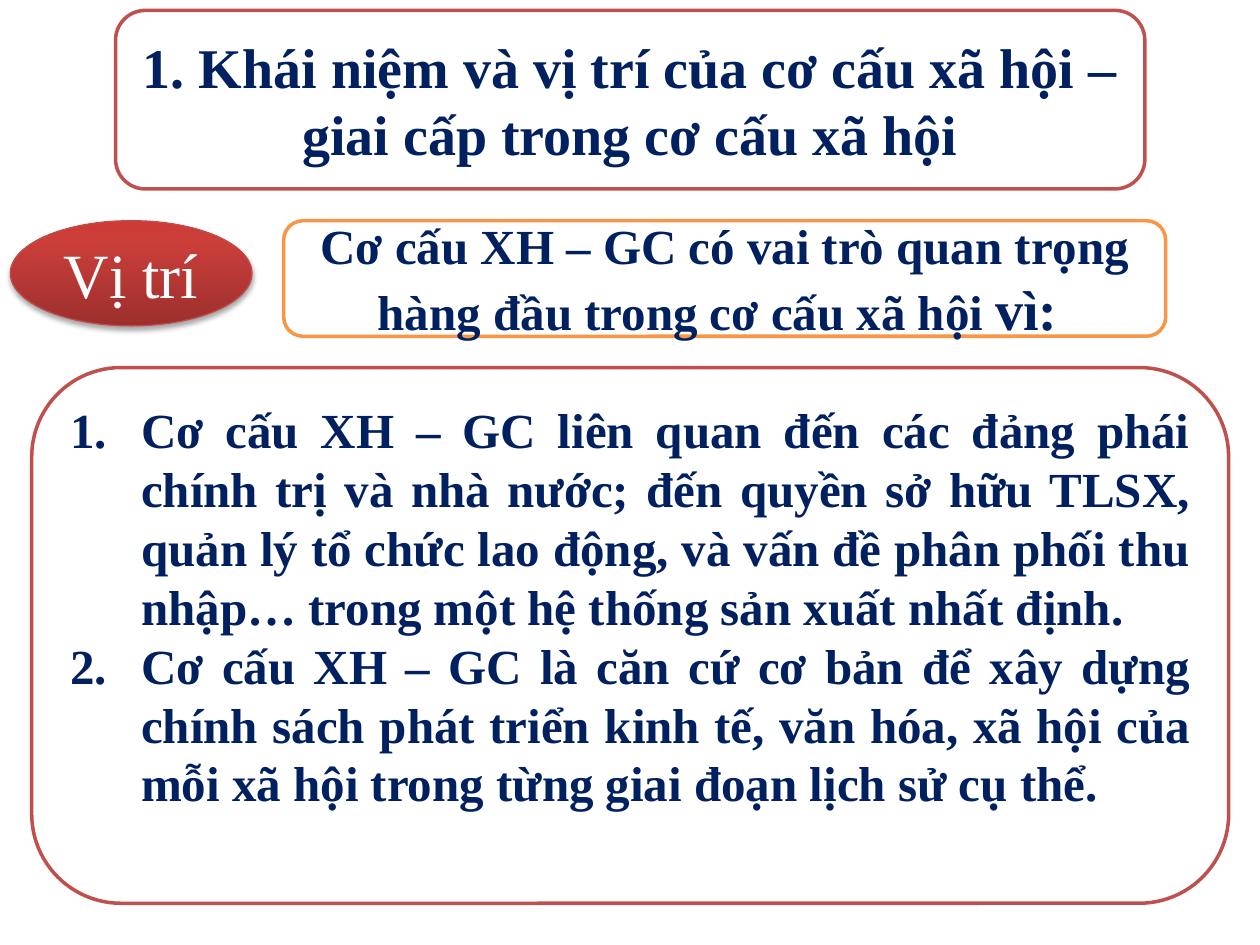
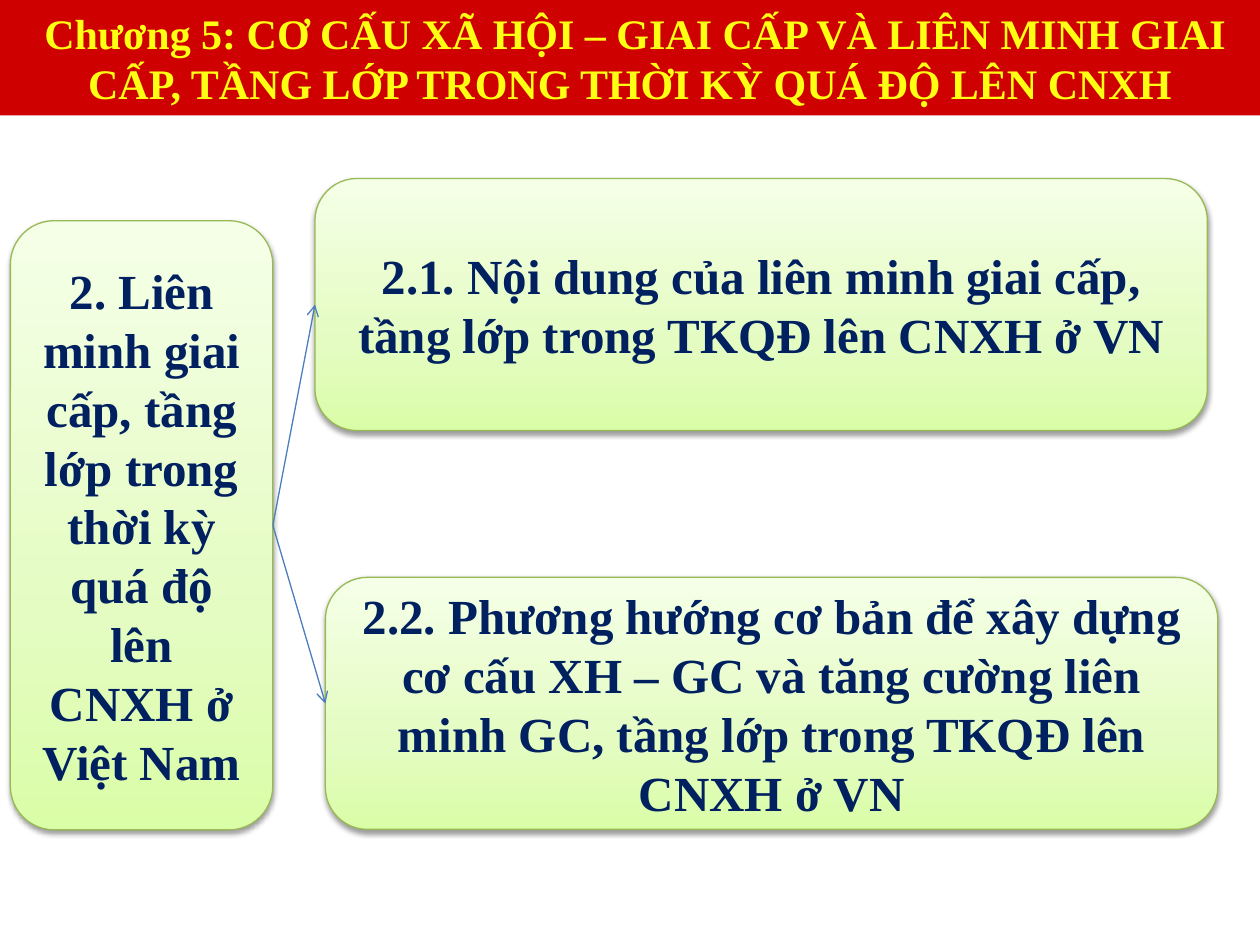
from lxml import etree
from copy import deepcopy
from pptx import Presentation
from pptx.dml.color import RGBColor
from pptx.enum.shapes import MSO_CONNECTOR, MSO_SHAPE
from pptx.enum.text import MSO_ANCHOR, PP_ALIGN
from pptx.oxml.ns import qn
from pptx.util import Cm, Pt

ROUND, OVAL, RECT = MSO_SHAPE.ROUNDED_RECTANGLE, MSO_SHAPE.OVAL, MSO_SHAPE.RECTANGLE
CENTER, JUSTIFY = PP_ALIGN.CENTER, PP_ALIGN.JUSTIFY
TOP, MIDDLE = MSO_ANCHOR.TOP, MSO_ANCHOR.MIDDLE

FONT = "Times New Roman"
NAVY = RGBColor(0x00, 0x20, 0x60)
WHITE = RGBColor(0xFF, 0xFF, 0xFF)
YELLOW = RGBColor(0xFF, 0xFF, 0x13)
BAND_RED = RGBColor(0xCE, 0x00, 0x00)
RED = RGBColor(0xC0, 0x50, 0x4D)
OVAL_RED = RGBColor(0xBF, 0x4C, 0x48)
ORANGE = RGBColor(0xF7, 0x96, 0x46)
GREEN = RGBColor(0x98, 0xB9, 0x55)
BLUE = RGBColor(0x4B, 0x7E, 0xBC)
RED_STOPS = [(0, RGBColor(0x9C, 0x2F, 0x2D)), (0.8, RGBColor(0xCB, 0x3E, 0x3A)),
             (1, RGBColor(0xCE, 0x3B, 0x37))]
GREEN_STOPS = [(0, RGBColor(0xDA, 0xFD, 0xA7)), (0.35, RGBColor(0xE4, 0xFC, 0xC2)),
               (1, RGBColor(0xF5, 0xFF, 0xE7))]


def add_box(s, kind, pos, paragraphs, size=28, color=NAVY, bold=True, align=CENTER,
            anchor=MIDDLE, fill=WHITE, line=None, width=2, numbered=False):
    """Each paragraph is a list of (text, size) runs or a plain string."""
    sp = s.shapes.add_shape(kind, *[Cm(v) for v in pos])
    sp.shadow.inherit = False
    sp.fill.solid()
    sp.fill.fore_color.rgb = fill
    if line is None:
        sp.line.fill.background()
    else:
        sp.line.color.rgb = line
        sp.line.width = Pt(width)
    tf = sp.text_frame
    tf.word_wrap = True
    tf.vertical_anchor = anchor
    for i, runs in enumerate(paragraphs):
        p = tf.paragraphs[0] if i == 0 else tf.add_paragraph()
        p.alignment = align
        if numbered:
            pPr = p._p.get_or_add_pPr()
            pPr.set("marL", str(Cm(1.43)))
            pPr.set("indent", str(-Cm(1.43)))
            etree.SubElement(pPr, qn("a:buFont"), typeface="+mj-lt")
            etree.SubElement(pPr, qn("a:buAutoNum"), type="arabicPeriod")
        for text, run_size in [(runs, size)] if isinstance(runs, str) else runs:
            r = p.add_run()
            r.text = text
            r.font.name, r.font.size, r.font.bold = FONT, Pt(run_size), bold
            r.font.color.rgb = color
    return sp


def add_depth(sp, stops, distance, alpha):
    """Give a shape a bottom-to-top gradient and a soft shadow below it."""
    sp.fill.gradient()
    sp.fill.gradient_angle = 90
    gs_list = sp._element.spPr.find(qn("a:gradFill")).find(qn("a:gsLst"))
    gs_list.append(deepcopy(gs_list[0]))
    for stop, (position, color) in zip(sp.fill.gradient_stops, stops):
        stop.position = position
        stop.color.rgb = color
    effects = sp._element.spPr.find(qn("a:effectLst"))
    shadow = etree.SubElement(effects, qn("a:outerShdw"), blurRad=str(Pt(3.1)),
                              dist=str(Pt(distance)), dir="5400000", rotWithShape="0")
    black = etree.SubElement(shadow, qn("a:srgbClr"), val="000000")
    etree.SubElement(black, qn("a:alpha"), val=str(alpha * 1000))


prs = Presentation()
prs.slide_width, prs.slide_height = Cm(25.4), Cm(19.05)
blank = prs.slide_layouts[6]

# Slide 1: position of the social-class structure
s = prs.slides.add_slide(blank)
add_box(s, ROUND, (2.33, 0.21, 20.75, 3.6),
        ["1. Khái niệm và vị trí của cơ cấu xã hội – giai cấp trong cơ cấu xã hội"],
        size=32, line=RED)
label = add_box(s, OVAL, (0.21, 4.45, 4.87, 2.12), ["Vị trí"],
                size=36, color=WHITE, bold=False, line=OVAL_RED, width=0.75)
add_depth(label, RED_STOPS, 1.8, 35)
add_box(s, ROUND, (0.64, 7.41, 24.13, 10.8), [
    "Cơ cấu XH – GC liên quan đến các đảng phái chính trị và nhà nước; đến quyền sở hữu "
    "TLSX, quản lý tổ chức lao động, và vấn đề phân phối thu nhập… trong một hệ thống "
    "sản xuất nhất định.",
    "Cơ cấu XH – GC là căn cứ cơ bản để xây dựng chính sách phát triển kinh tế, văn hóa, "
    "xã hội của mỗi xã hội trong từng giai đoạn lịch sử cụ thể.",
], align=JUSTIFY, anchor=TOP, line=RED, numbered=True)
add_box(s, ROUND, (5.72, 4.45, 17.78, 2.33),
        [[("Cơ cấu XH – GC có vai trò quan trọng hàng đầu trong cơ cấu xã hội ", 28),
          ("vì: ", 32)]], line=ORANGE)

# Slide 2: class alliance and its two parts
s = prs.slides.add_slide(blank)
band = add_box(s, RECT, (0, 0, 25.4, 2.33),
               [" Chương 5: CƠ CẤU XÃ HỘI – GIAI CẤP VÀ LIÊN MINH GIAI CẤP, TẦNG LỚP "
                "TRONG THỜI KỲ QUÁ ĐỘ LÊN CNXH"], size=24, color=YELLOW, fill=BAND_RED)
band.text_frame.margin_top = band.text_frame.margin_bottom = 0

topics = [
    ((0.21, 4.45, 5.29, 12.28),
     "2. Liên minh giai cấp, tầng lớp trong thời kỳ quá độ lên CNXH ở Việt Nam"),
    ((6.35, 3.6, 17.99, 5.08),
     "2.1. Nội dung của liên minh giai cấp, tầng lớp trong TKQĐ lên CNXH ở VN"),
    ((6.56, 11.64, 17.99, 5.08),
     "2.2. Phương hướng cơ bản để xây dựng cơ cấu XH – GC và tăng cường liên minh GC, "
     "tầng lớp trong TKQĐ lên CNXH ở VN"),
]
boxes = []
for pos, text in topics:
    sp = add_box(s, ROUND, pos, [text], line=GREEN, width=0.75)
    add_depth(sp, GREEN_STOPS, 1.6, 38)
    boxes.append(sp)

main, *parts = boxes
for part in parts:
    arrow = s.shapes.add_connector(MSO_CONNECTOR.STRAIGHT,
                                   main.left + main.width, main.top + main.height // 2,
                                   part.left, part.top + part.height // 2)
    arrow.line.color.rgb = BLUE
    arrow.line.width = Pt(0.75)
    etree.SubElement(arrow.line._get_or_add_ln(), qn("a:tailEnd"), type="arrow")
    etree.SubElement(arrow._element.spPr, qn("a:effectLst"))

prs.save("out.pptx")
